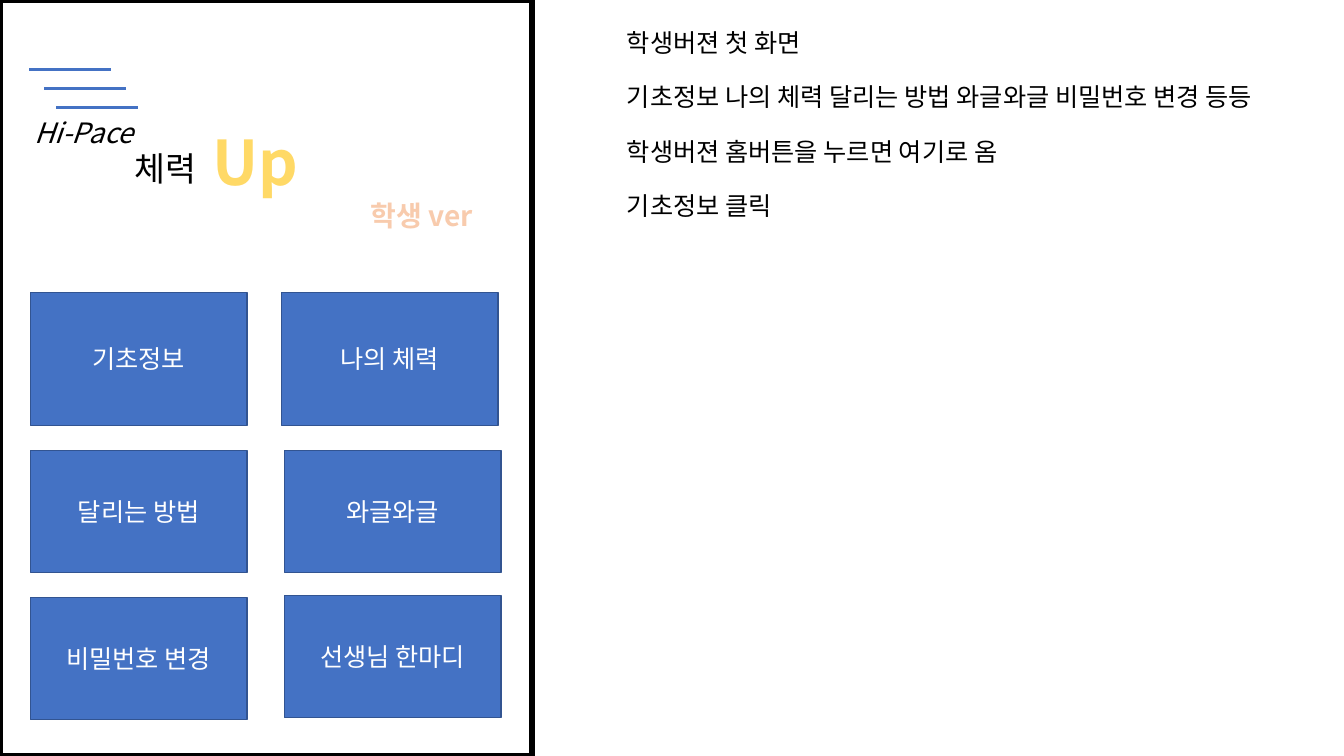
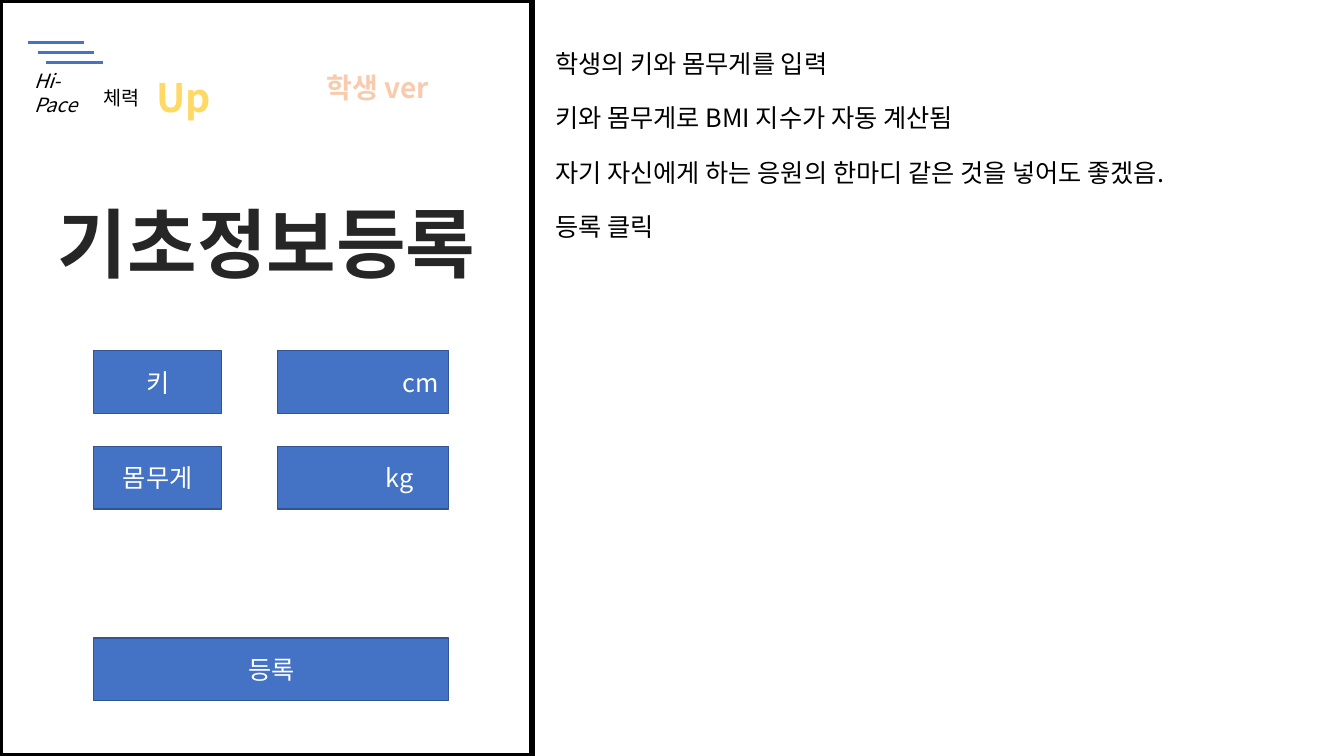
from lxml.etree import SubElement
from pptx import Presentation
from pptx.dml.color import RGBColor
from pptx.enum.shapes import MSO_CONNECTOR, MSO_SHAPE
from pptx.enum.text import MSO_ANCHOR, PP_ALIGN
from pptx.oxml.ns import qn
from pptx.util import Inches, Pt

FONT = "Noto Sans CJK KR"
BLACK = RGBColor(0x00, 0x00, 0x00)
WHITE = RGBColor(0xFF, 0xFF, 0xFF)
BLUE = RGBColor(0x44, 0x72, 0xC4)
NAVY = RGBColor(0x32, 0x54, 0x91)
GOLD = RGBColor(0xFF, 0xD9, 0x66)
PEACH = RGBColor(0xF8, 0xCB, 0xAD)
INK = RGBColor(0x26, 0x26, 0x26)
LEFT, MID, RIGHT = PP_ALIGN.LEFT, PP_ALIGN.CENTER, PP_ALIGN.RIGHT


def add_run(para, text, size, color, bold=False, italic=False):
    run = para.add_run()
    run.text = text
    font = run.font
    font.size = Pt(size)
    font.bold, font.italic = bold, italic
    font.color.rgb = color
    font.name = FONT
    SubElement(run._r.get_or_add_rPr(), qn("a:ea"), typeface=FONT)


def add_text(slide, box, lines, size, color=BLACK, align=MID, wrap=True,
             gap=0, **style):
    """Place a text box with one paragraph for each line."""
    frame = slide.shapes.add_textbox(*map(Inches, box)).text_frame
    frame.word_wrap = wrap
    for i, line in enumerate(lines):
        para = frame.paragraphs[0] if i == 0 else frame.add_paragraph()
        para.alignment = align
        if i:
            para.space_before = Pt(gap)
        add_run(para, line, size, color, **style)


def add_rect(slide, box, fill, edge, width):
    rect = slide.shapes.add_shape(MSO_SHAPE.RECTANGLE, *map(Inches, box))
    rect.shadow.inherit = False
    rect.fill.solid()
    rect.fill.fore_color.rgb = fill
    rect.line.color.rgb = edge
    rect.line.width = Pt(width)
    return rect


def add_button(slide, box, label, align=MID, inset=0.1):
    frame = add_rect(slide, box, BLUE, NAVY, 1).text_frame
    frame.word_wrap = True
    frame.vertical_anchor = MSO_ANCHOR.MIDDLE
    frame.margin_right = Inches(inset)
    para = frame.paragraphs[0]
    para.alignment = align
    add_run(para, label, 18, WHITE)


def add_line(slide, x, y, length):
    line = slide.shapes.add_connector(
        MSO_CONNECTOR.STRAIGHT, *map(Inches, (x, y, x + length, y)))
    line.line.color.rgb = BLUE
    line.line.width = Pt(2)
    SubElement(line._element.spPr, qn("a:effectLst"))


def add_head(slide, x, y, wide, high, sizes):
    """Draw the app heading, scaled by wide and high from its top left."""
    def place(dx, dy, w, h):
        return x + dx * wide, y + dy * high, w * wide, h * wide

    name, power, up = sizes
    add_text(slide, place(0.96, 0.73, 0.88, 0.5), ["체력"], power, wrap=False)
    add_text(slide, place(1.75, 0.49, 1.09, 0.84), ["Up"], up, GOLD, bold=True)
    add_text(slide, place(0, 0.41, 1.26, 0.44), ["Hi-Pace"], name,
             align=LEFT, italic=True)
    for i, dx in enumerate((0.05, 0.2, 0.32)):
        add_line(slide, x + dx * wide, y + 0.19 * i * high, 0.81 * wide)


def add_phone(deck, badge, notes, lines):
    """Add a slide with the phone frame, its badge and the notes beside it."""
    slide = deck.slides.add_slide(deck.slide_layouts[6])
    add_rect(slide, (0, 0, 5.28, 7.5), WHITE, BLACK, 4.5)
    add_text(slide, (*badge, 1.71, 0.44), ["학생 ver"], 20, PEACH, bold=True)
    add_text(slide, notes, lines, 18, align=LEFT, gap=17.3)
    return slide


def add_home(deck):
    slide = add_phone(deck, (3.33, 1.92), (6.12, 0.22, 6.9, 2.52), [
        "학생버젼 첫 화면",
        "기초정보 나의 체력 달리는 방법 와글와글 비밀번호 변경 등등",
        "학생버젼 홈버튼을 누르면 여기로 옴",
        "기초정보 클릭",
    ])
    add_head(slide, 0.24, 0.69, 1, 1, (20, 24, 44))
    for x, y, high, label in (
        (0.3, 2.9, 1.32, "기초정보"), (2.79, 2.9, 1.32, "나의 체력"),
        (0.3, 4.47, 1.21, "달리는 방법"), (2.82, 4.47, 1.21, "와글와글"),
        (0.3, 5.93, 1.21, "비밀번호 변경"), (2.82, 5.91, 1.21, "선생님 한마디"),
    ):
        add_button(slide, (x, y, 2.15, high), label)


def add_form(slide, x, y):
    """Place the two input rows and the button below them."""
    high, pitch = 0.62, 0.95
    rows = (("키", "cm", 0.1), ("몸무게", "kg", 0.35))
    for i, (label, unit, inset) in enumerate(rows):
        top = y + i * pitch
        add_button(slide, (x, top, 1.27, high), label)
        add_button(slide, (x + 1.82, top, 1.7, high), unit, RIGHT, inset)
    add_button(slide, (x, y + 3 * pitch, 3.52, high), "등록")


def add_entry(deck):
    slide = add_phone(deck, (2.89, 0.65), (5.41, 0.43, 7.04, 2.22), [
        "학생의 키와 몸무게를 입력",
        "키와 몸무게로 BMI 지수가 자동 계산됨",
        "자기 자신에게 하는 응원의 한마디 같은 것을 넣어도 좋겠음.",
        "등록 클릭",
    ])
    add_head(slide, 0.24, 0.42, 0.69, 0.53, (14, 14, 28))
    add_text(slide, (0.27, 1.9, 4.75, 1.01), ["기초정보등록"], 54, INK,
             wrap=False, bold=True)
    add_form(slide, 0.93, 3.48)


def main():
    deck = Presentation()
    deck.slide_width, deck.slide_height = Inches(13.33), Inches(7.5)
    add_home(deck)
    add_entry(deck)
    deck.save("out.pptx")


if __name__ == "__main__":
    main()
